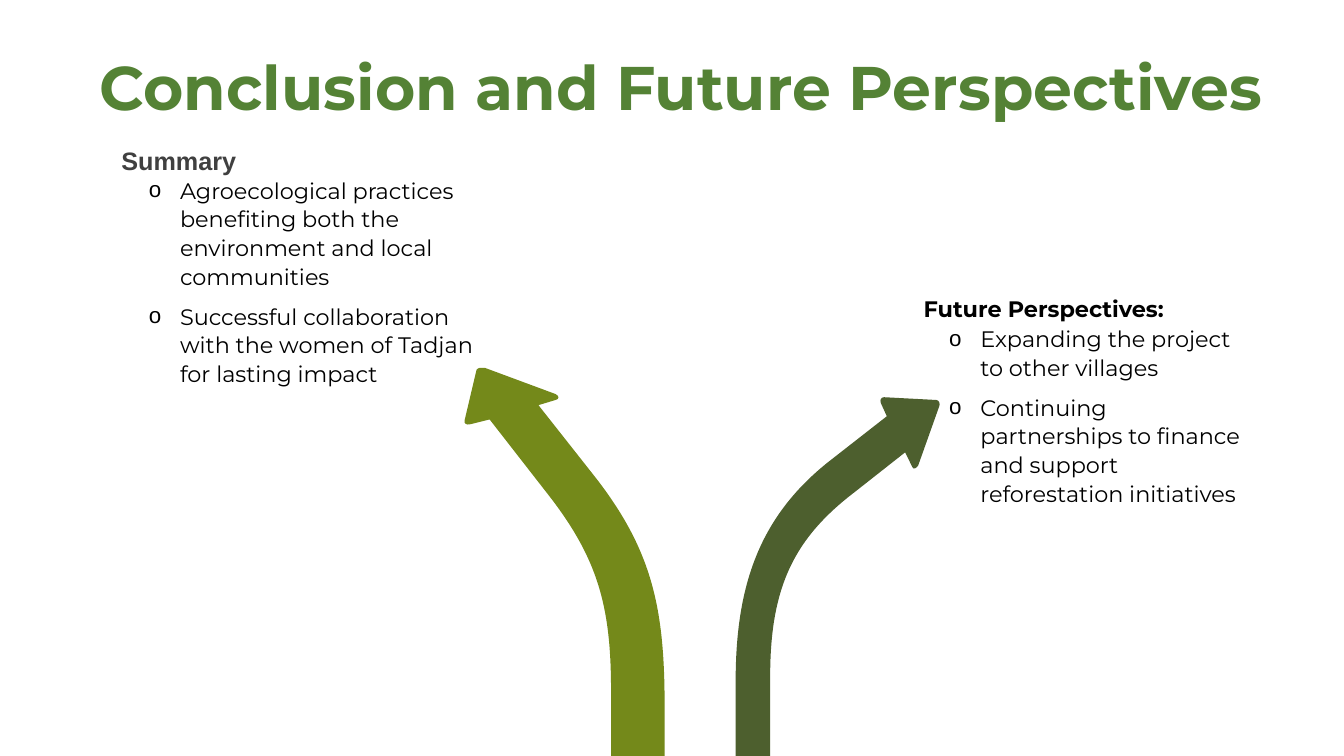
import pptx
import pptx.util
import pptx.dml.color
import pptx.enum.text
import pptx.oxml
import pptx.oxml.ns

Cm = pptx.util.Cm
Pt = pptx.util.Pt
RGB = pptx.dml.color.RGBColor.from_string
qn = pptx.oxml.ns.qn
GROW = pptx.enum.text.MSO_AUTO_SIZE.SHAPE_TO_FIT_TEXT

THEME = {
    "title": {"name": "Montserrat", "size": Pt(44), "bold": True, "color": "548235"},
    "summary": {"name": "Arial", "size": Pt(18), "bold": True, "color": "404040"},
    "future": {"name": "Montserrat", "size": Pt(16), "bold": True, "color": "000000"},
    "body": {"name": "Montserrat", "size": Pt(16), "bold": False, "color": "000000"},
    "left_arrow": "74891A",
    "right_arrow": "4D5F2E",
}
SPACING = {"line_spacing": 1.07, "space_after": Pt(8)}
LIST_FORMAT = {"level": 1, **SPACING}
NS = 'xmlns:a="http://schemas.openxmlformats.org/drawingml/2006/main"'


def write(p, text, style):
    r = p.add_run()
    r.text = text
    for key, value in THEME[style].items():
        if key == "color":
            r.font.color.rgb = RGB(value)
        else:
            setattr(r.font, key, value)


def bend(sp, steps):
    segments = iter(list(sp._element.iter(qn("a:lnTo"))))
    for step in steps:
        nodes = [next(segments) for _ in step]
        if len(step) == 3:
            nodes[0].tag = qn("a:cubicBezTo")
            for node in nodes[1:]:
                nodes[0].append(node[0])
                node.getparent().remove(node)


prs = pptx.Presentation()
prs.slide_width, prs.slide_height = Cm(33.87), Cm(19.05)
s = prs.slides.add_slide(prs.slide_layouts[5])

arrows = [
    ("left_arrow", (15.4, 19.05), [
        [(16.75, 19.05)], [(16.75, 17.81)],
        [(16.75, 15.37), (16.46, 13.89), (14.99, 12.01)],
        [(13.57, 10.21)], [(14, 10.08)],
        [(14.1, 10.06), (14.1, 9.98), (14, 9.93)],
        [(12.22, 9.27)],
        [(12.14, 9.25), (12.04, 9.27), (12.01, 9.32)],
        [(11.71, 10.59)],
        [(11.68, 10.67), (11.76, 10.72), (11.86, 10.69)],
        [(12.34, 10.57)], [(13.82, 12.47)],
        [(15.09, 14.1), (15.4, 15.32), (15.4, 17.42)],
    ]),
    ("right_arrow", (18.54, 19.05), [
        [(18.54, 17.17)],
        [(18.54, 14.76), (19.13, 12.98), (20.98, 11.56)],
        [(22.35, 10.49)], [(22.2, 10.16)],
        [(22.17, 10.08), (22.2, 10.01), (22.28, 10.01)],
        [(23.6, 10.08)],
        [(23.67, 10.08), (23.7, 10.19), (23.67, 10.24)],
        [(23.14, 11.73)],
        [(23.09, 11.81), (23.01, 11.84), (22.99, 11.76)],
        [(22.81, 11.4)], [(21.54, 12.4)],
        [(20.02, 13.56), (19.41, 14.78), (19.41, 17.04)],
        [(19.41, 19.05)],
    ]),
]
for color, start, steps in arrows:
    fb = s.shapes.build_freeform(*map(Cm, start), scale=1.0)
    fb.add_line_segments([(Cm(x), Cm(y)) for step in steps for x, y in step], close=True)
    sp = fb.convert_to_shape()
    bend(sp, steps)
    sp.shadow.inherit = False
    sp.fill.solid()
    sp.fill.fore_color.rgb = RGB(THEME[color])
    sp.line.fill.background()

sections = [
    ("Summary", "summary", (2.81, 3.53, 7.59, 1.02), {}, (2.23, 4.28, 10.11, 7.11), [
        "Agroecological practices benefiting both the environment and local communities",
        "Successful collaboration with the women of Tadjan for lasting impact",
    ]),
    ("Future Perspectives:", "future", (23.03, 7.26, 9.14, 0.99), SPACING,
     (22.4, 8.02, 9.45, 6.38), [
        "Expanding the project to other villages",
        "Continuing partnerships to finance and support reforestation initiatives",
    ]),
]
for heading, style, heading_box, heading_format, list_box, items in sections:
    group = s.shapes.add_group_shape()
    boxes = [
        (heading_box, [heading], style, heading_format),
        (list_box, items, "body", LIST_FORMAT),
    ]
    for box, lines, text_style, paragraph_format in boxes:
        tf = group.shapes.add_textbox(*map(Cm, box)).text_frame
        tf.word_wrap = True
        tf.auto_size = GROW
        for i, line in enumerate(lines):
            p = tf.add_paragraph() if i else tf.paragraphs[0]
            if text_style == "body":
                pPr = p._p.get_or_add_pPr()
                pPr.set("marL", str(Cm(2.06)))
                pPr.set("indent", str(-Cm(0.79)))
                for xml in ('<a:buFont %s typeface="Arial"/>', '<a:buChar %s char="o"/>'):
                    pPr.append(pptx.oxml.parse_xml(xml % NS))
            for key, value in paragraph_format.items():
                setattr(p, key, value)
            write(p, line, text_style)

title = s.shapes.title
title.left, title.top, title.width, title.height = map(Cm, (2.22, 1.1, 29.9, 2.13))
tf = title.text_frame
tf.word_wrap = False
tf.auto_size = GROW
p = tf.paragraphs[0]
p.alignment = pptx.enum.text.PP_ALIGN.CENTER
write(p, "Conclusion and Future Perspectives", "title")

prs.save("out.pptx")
